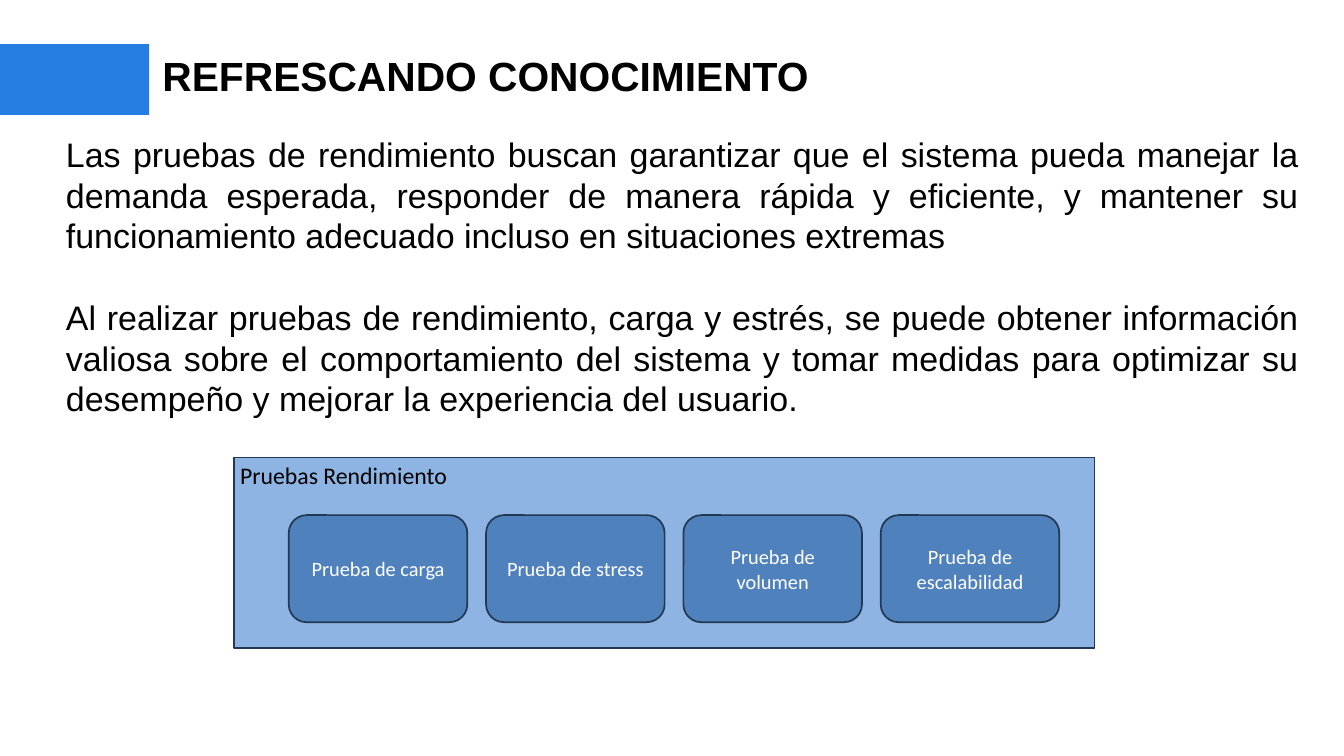
"""Builds the slide on performance testing with its four test types."""
from pptx import Presentation
from pptx.dml.color import RGBColor
from pptx.enum.shapes import MSO_SHAPE
from pptx.enum.text import MSO_ANCHOR, MSO_AUTO_SIZE, PP_ALIGN
from pptx.util import Cm, Pt


def add_box(kind, x, y, w, h, fill, line=None):
    sp = s.shapes.add_shape(kind, Cm(x), Cm(y), Cm(w), Cm(h))
    sp.shadow.inherit = False
    sp.fill.solid()
    sp.fill.fore_color.rgb = RGBColor.from_string(fill)
    if line:
        sp.line.color.rgb = RGBColor.from_string(line)
        sp.line.width = Pt(2)
    else:
        sp.line.fill.background()
    return sp


def write(p, text, size, font, color, align, bold=False):
    p.alignment = align
    r = p.add_run()
    r.text = text
    r.font.size = Pt(size)
    r.font.name = font
    r.font.bold = bold
    r.font.color.rgb = RGBColor.from_string(color)


paragraphs = [
    "Las pruebas de rendimiento buscan garantizar que el sistema pueda manejar la demanda esperada, "
    "responder de manera rápida y eficiente, y mantener su funcionamiento adecuado incluso en "
    "situaciones extremas",
    "Al realizar pruebas de rendimiento, carga y estrés, se puede obtener información valiosa sobre "
    "el comportamiento del sistema y tomar medidas para optimizar su desempeño y mejorar la "
    "experiencia del usuario.",
]
tests = ["Prueba de carga", "Prueba de stress", "Prueba de volumen", "Prueba de escalabilidad"]

prs = Presentation()
prs.slide_width = Cm(55.85)
prs.slide_height = Cm(31.42)
s = prs.slides.add_slide(prs.slide_layouts[5])

add_box(MSO_SHAPE.RECTANGLE, 0, 1.83, 6.2, 2.95, "257CE1")

title = s.shapes.title
title.left, title.top, title.width, title.height = Cm(6.75), Cm(2.1), Cm(47.2), Cm(2.06)
body = s.shapes.add_textbox(Cm(2.74), Cm(5.55), Cm(51.2), Cm(11.96))
for sp in (title, body):
    tf = sp.text_frame
    tf.word_wrap = True
    tf.auto_size = MSO_AUTO_SIZE.NONE
    tf.vertical_anchor = MSO_ANCHOR.TOP
    tf.margin_left = tf.margin_top = tf.margin_right = tf.margin_bottom = 0

write(title.text_frame.paragraphs[0], "REFRESCANDO CONOCIMIENTO", 48, "Arial", "000000",
      PP_ALIGN.LEFT, bold=True)

tf = body.text_frame
for i, text in enumerate(paragraphs):
    p = tf.add_paragraph() if i else tf.paragraphs[0]
    p.line_spacing = Pt(48)
    p.space_before = Pt(48 if i else 0)
    write(p, text, 40, "Arial", "000000", PP_ALIGN.JUSTIFY)

panel = add_box(MSO_SHAPE.RECTANGLE, 9.73, 19.02, 35.76, 7.9, "8EB4E3", "233953")
panel.text_frame.vertical_anchor = MSO_ANCHOR.TOP
write(panel.text_frame.paragraphs[0], "Pruebas Rendimiento", 28, "Calibri", "000000", PP_ALIGN.LEFT)

for i, test in enumerate(tests):
    sp = add_box(MSO_SHAPE.ROUNDED_RECTANGLE, 12 + i * 8.2, 21.41, 7.42, 4.45, "4F81BD", "233953")
    sp.text_frame.word_wrap = True
    sp.text_frame.vertical_anchor = MSO_ANCHOR.MIDDLE
    write(sp.text_frame.paragraphs[0], test, 24, "Calibri", "FFFFFF", PP_ALIGN.CENTER)

prs.save("out.pptx")
